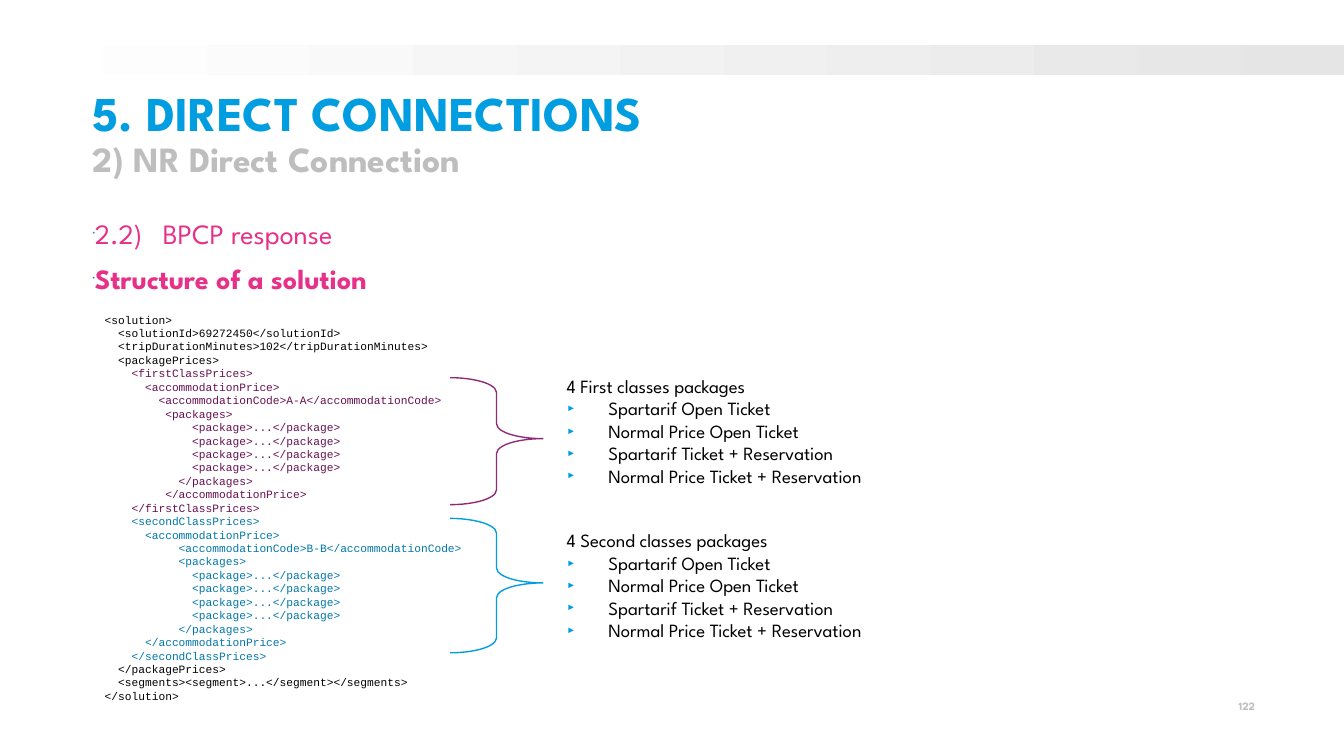
from lxml.etree import SubElement
from pptx import Presentation
from pptx.dml.color import RGBColor
from pptx.enum.shapes import MSO_SHAPE
from pptx.enum.text import MSO_ANCHOR, MSO_AUTO_SIZE, PP_ALIGN
from pptx.oxml.ns import qn
from pptx.util import Cm, Pt

HEADING_FONT, CODE_FONT = "League Spartan", "Courier New"
BLUE, PINK, GREY, BLACK = "009EE0", "E73088", "BEBEBE", "000000"
FIRST_CODE, SECOND_CODE, FIRST_BRACE = "670F4F", "0077A8", "912A75"


def add_run(paragraph, text, size, color, font=HEADING_FONT, bold=False):
    run = paragraph.add_run()
    run.text = text
    run.font.size = Pt(size)
    run.font.name = font
    run.font.bold = bold
    run.font.color.rgb = RGBColor.from_string(color)


def add_bullet(paragraph, char, percent, hanging, tab=None):
    props = paragraph._p.get_or_add_pPr()
    props.set("marL", str(hanging))
    props.set("indent", str(-hanging))
    SubElement(SubElement(props, qn("a:buClr")), qn("a:srgbClr"), val=BLUE)
    SubElement(props, qn("a:buSzPct"), val=str(percent * 1000))
    SubElement(props, qn("a:buFont"), typeface="Arial")
    SubElement(props, qn("a:buChar"), char=char)
    if tab:
        SubElement(SubElement(props, qn("a:tabLst")), qn("a:tab"),
                   pos=str(tab), algn="l")


deck = Presentation()
deck.slide_width, deck.slide_height = Cm(25.4), Cm(14.29)
slide = deck.slides.add_slide(deck.slide_layouts[5])
shapes = slide.shapes

# Gradient band across the top
band = shapes.add_shape(MSO_SHAPE.RECTANGLE, 0, Cm(0.86), Cm(25.4), Cm(0.56))
band.shadow.inherit = False
band.line.fill.background()
band.fill.gradient()
band.fill.gradient_angle = 0
for stop, position, color in zip(band.fill.gradient_stops, (0, 1),
                                 ("FFFFFF", "E5E5E5")):
    stop.position = position
    stop.color.rgb = RGBColor.from_string(color)

# Title, section heading and page number, all without insets
title = shapes.title
title.left, title.top, title.width, title.height = (
    Cm(1.75), Cm(1.7), Cm(22), Cm(1.9))
section = shapes.add_textbox(Cm(1.75), Cm(4.09), Cm(21.54), Cm(8.92))
page_number = shapes.add_textbox(Cm(21.79), Cm(13.21), Cm(1.93), Cm(0.71))
for box in (title, section, page_number):
    frame = box.text_frame
    frame.margin_left = frame.margin_right = 0
    frame.margin_top = frame.margin_bottom = 0
    frame.word_wrap = True
    frame.auto_size = MSO_AUTO_SIZE.NONE
    frame.vertical_anchor = MSO_ANCHOR.TOP

title_lines = [("5. DIRECT CONNECTIONS", 26, BLUE),
               ("2) NR Direct Connection", 19, GREY)]
for index, (text, size, color) in enumerate(title_lines):
    frame = title.text_frame
    line = frame.add_paragraph() if index else frame.paragraphs[0]
    line.alignment = PP_ALIGN.LEFT
    line.line_spacing = 0.9
    line.space_before = Pt(0)
    add_run(line, text, size, color, bold=True)

section_lines = [("2.2)\tBPCP response", False), ("Structure of a solution", True)]
for index, (text, bold) in enumerate(section_lines):
    frame = section.text_frame
    line = frame.add_paragraph() if index else frame.paragraphs[0]
    add_bullet(line, "•", 25, 0, tab=Cm(1.33))
    line.space_after = Pt(6)
    add_run(line, text, 15, PINK, bold=bold)

number_line = page_number.text_frame.paragraphs[0]
number_line.alignment = PP_ALIGN.RIGHT
add_run(number_line, "122", 6, GREY, bold=True)

# XML listing, one colour per block
package = " " * 13 + "<package>...</package>"
listing = [
    (BLACK, ["<solution>",
             "  <solutionId>69272450</solutionId>",
             "  <tripDurationMinutes>102</tripDurationMinutes>",
             "  <packagePrices>"]),
    (FIRST_CODE, ["    <firstClassPrices>",
                  "      <accommodationPrice>",
                  "        <accommodationCode>A-A</accommodationCode>",
                  "         <packages>",
                  *[package] * 4,
                  "           </packages>",
                  "         </accommodationPrice>",
                  "    </firstClassPrices>"]),
    (SECOND_CODE, ["    <secondClassPrices>",
                   "      <accommodationPrice>",
                   "           <accommodationCode>B-B</accommodationCode>",
                   "           <packages>",
                   *[package] * 4,
                   "           </packages>",
                   "      </accommodationPrice>",
                   "    </secondClassPrices>"]),
    (BLACK, ["  </packagePrices>",
             "  <segments><segment>...</segment></segments>",
             "</solution>"]),
]
code = shapes.add_textbox(Cm(1.73), Cm(5.79), Cm(10.41), Cm(7.7)).text_frame
code.word_wrap = True
code_lines = [(color, text) for color, block in listing for text in block]
for index, (color, text) in enumerate(code_lines):
    line = code.add_paragraph() if index else code.paragraphs[0]
    line.line_spacing = Pt(7.2)
    add_run(line, text, 6, color, CODE_FONT)

# Braces and the packages they stand for
packages = ["Spartarif Open Ticket", "Normal Price Open Ticket",
            "Spartarif Ticket + Reservation", "Normal Price Ticket + Reservation"]
classes = [("First", FIRST_BRACE, 7.14, 2.4, 6.96),
           ("Second", BLUE, 9.8, 2.54, 9.88)]
for name, color, brace_top, brace_height, list_top in classes:
    brace = shapes.add_shape(MSO_SHAPE.RIGHT_BRACE, Cm(8.51), Cm(brace_top),
                             Cm(1.75), Cm(brace_height))
    brace.shadow.inherit = False
    brace.adjustments[0], brace.adjustments[1] = 0.16, 0.48
    brace.fill.background()
    brace.line.color.rgb = RGBColor.from_string(color)
    brace.line.width = Pt(0.75)

    summary = shapes.add_textbox(Cm(10.46), Cm(list_top), Cm(9.19), Cm(2.39)).text_frame
    summary.word_wrap = True
    add_run(summary.paragraphs[0], f"4 {name} classes packages", 10, BLACK)
    for text in packages:
        item = summary.add_paragraph()
        add_bullet(item, "►", 50, Cm(0.79))
        add_run(item, text, 10, BLACK)

deck.save("out.pptx")
